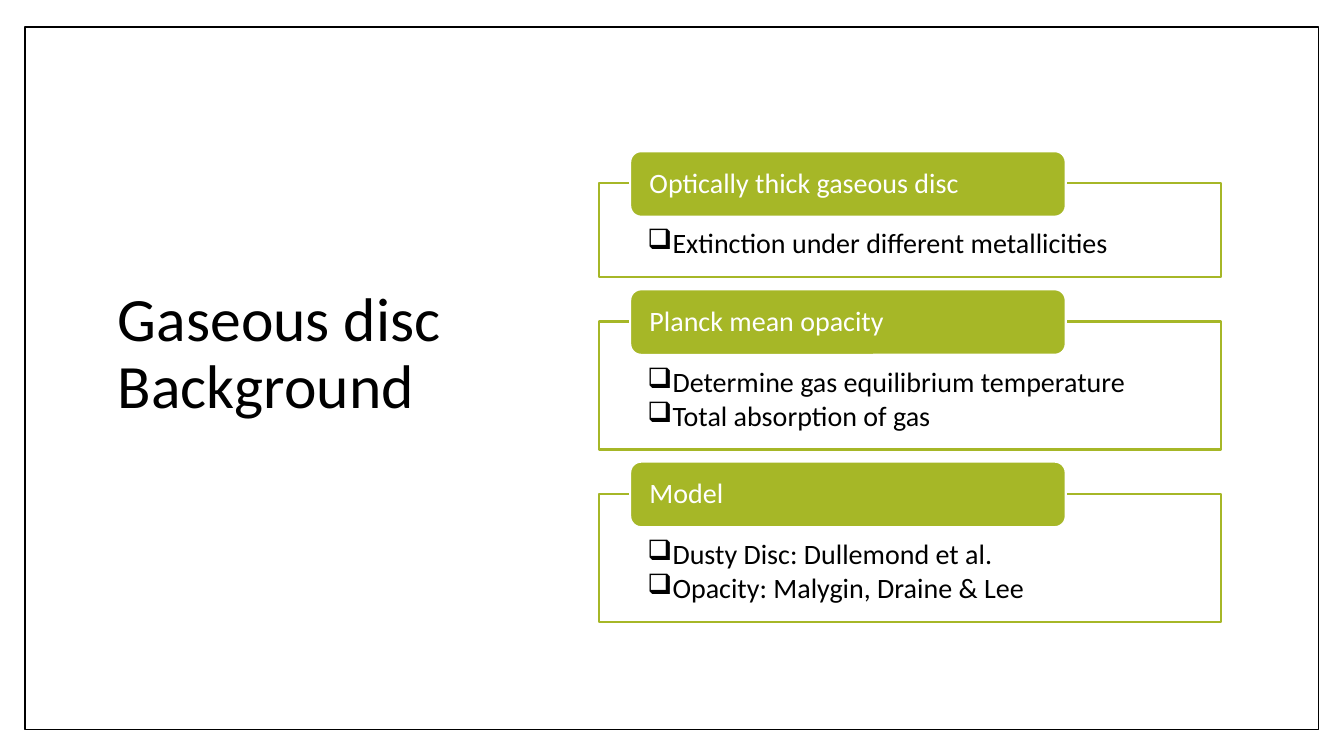
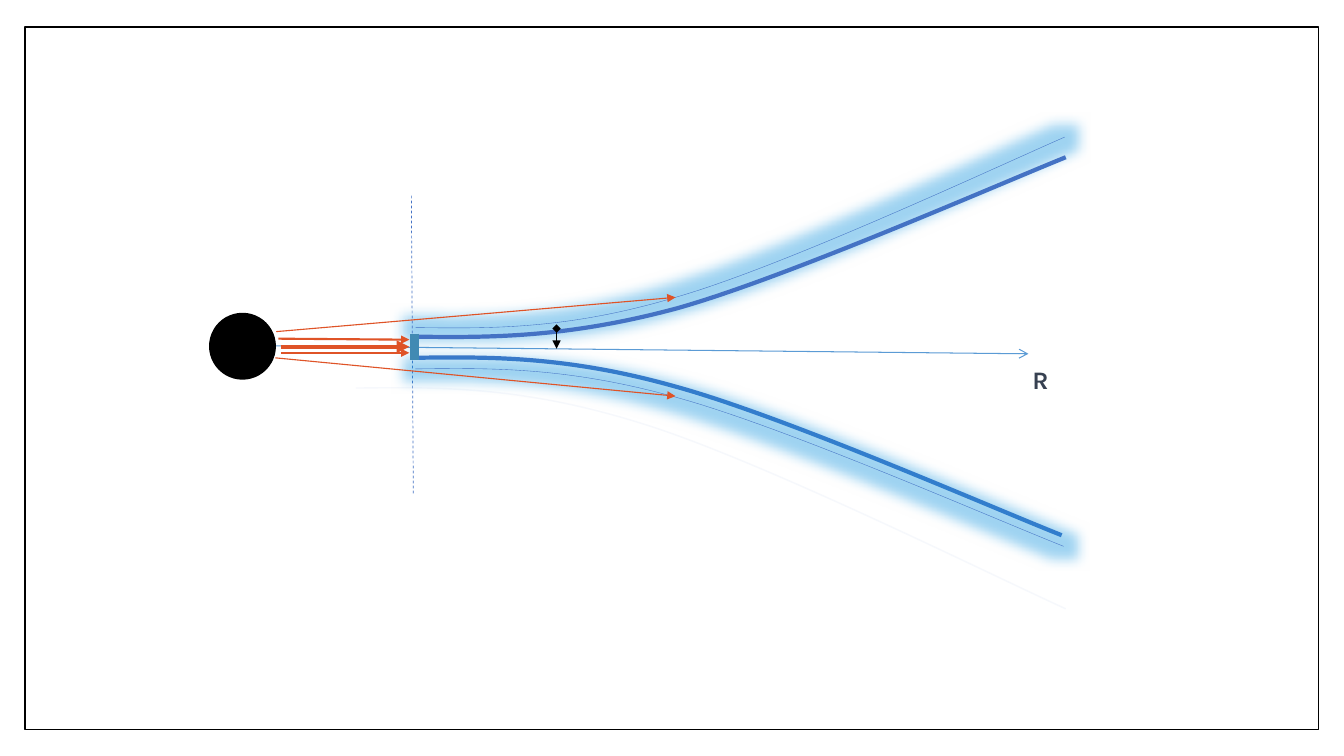
"""Build two slides on a gaseous disc: its background and a sketch of its profile."""
from lxml.etree import SubElement
from pptx import Presentation
from pptx.dml.color import RGBColor
from pptx.enum.dml import MSO_LINE
from pptx.enum.shapes import MSO_CONNECTOR, MSO_SHAPE
from pptx.enum.text import MSO_ANCHOR, MSO_AUTO_SIZE, PP_ALIGN
from pptx.oxml.ns import qn
from pptx.util import Inches, Pt

COLORS = {
    "black": "000000", "white": "FFFFFF", "green": "A6B727", "blue": "4472C4",
    "axis": "5B9BD5", "pale": "F6F8FC", "teal": "418AB3", "red": "DF5327",
    "slate": "374151", "glow": "1193DE",
}


def rgb(name):
    return RGBColor.from_string(COLORS[name])


def write(p, text, size=20, color="black", font="Calibri", bold=False,
          spacing=0.9, after=0, bullet=None):
    p.alignment = PP_ALIGN.LEFT
    p.line_spacing = spacing
    p.space_before, p.space_after = Pt(0), Pt(after)
    for i, line in enumerate(text.split("\n")):
        if i:
            p.add_line_break()
        r = p.add_run()
        r.text = line
        r.font.name, r.font.size, r.font.bold = font, Pt(size), bold
        r.font.color.rgb = rgb(color)
    if bullet:
        pPr = p._p.get_or_add_pPr()
        pPr.set("marL", str(Inches(0.25)))
        pPr.set("indent", str(-Inches(0.25)))
        SubElement(pPr, qn("a:buFont"), typeface="Wingdings", charset="2")
        SubElement(pPr, qn("a:buChar"), char=bullet)


def bend(sp):
    path = sp._element.spPr.find(".//" + qn("a:path"))
    segments = path.findall(qn("a:lnTo"))
    for i in range(0, len(segments), 3):
        cubic = SubElement(path, qn("a:cubicBezTo"))
        for segment in segments[i:i + 3]:
            cubic.append(segment[0])
            path.remove(segment)


class Deck:
    """Holds the presentation, its style and the current slide."""

    def __init__(self):
        self.prs = Presentation()
        self.prs.slide_width, self.prs.slide_height = Inches(13.33), Inches(7.5)
        self.s = None

    def slide(self, title=None):
        first = self.s is None
        layout = self.prs.slide_layouts[5 if title else 6]
        self.s = self.prs.slides.add_slide(layout)
        if first:
            self.border()
        if title:
            sp = self.s.shapes.title
            sp.left, sp.top = Inches(1.07), Inches(2.78)
            sp.width, sp.height = Inches(4.31), Inches(1.48)
            tf = self.frame(sp, (0.1, 0.05, 0.1, 0.05), MSO_ANCHOR.MIDDLE)
            write(tf.paragraphs[0], title, size=44)

    def border(self):
        sp = self.shape(MSO_SHAPE.RECTANGLE, 0.25, 0.27, 12.83, 6.97, "white")
        self.prs.slide_master.shapes._spTree.insert(2, sp._element)

    def frame(self, sp, insets, anchor=MSO_ANCHOR.TOP):
        tf = sp.text_frame
        tf.word_wrap, tf.auto_size = True, MSO_AUTO_SIZE.NONE
        tf.vertical_anchor = anchor
        (tf.margin_left, tf.margin_top,
         tf.margin_right, tf.margin_bottom) = map(Inches, insets)
        return tf

    def stroke(self, line, color, width):
        line.color.rgb, line.width = rgb(color), Pt(width)

    def shape(self, kind, x, y, w, h, fill, line="black", width=1):
        sp = self.s.shapes.add_shape(kind, *map(Inches, (x, y, w, h)))
        sp.shadow.inherit = False
        sp.fill.solid()
        sp.fill.fore_color.rgb = rgb(fill)
        self.stroke(sp.line, line, width)
        return sp

    def label(self, text, x, y, w, h, **fmt):
        sp = self.s.shapes.add_textbox(*map(Inches, (x, y, w, h)))
        write(self.frame(sp, (0.1, 0.05, 0.1, 0.05)).paragraphs[0], text, **fmt)

    def card(self, y, h, heading, items):
        box = self.shape(MSO_SHAPE.RECTANGLE, 5.94, y, 6.17, h, "white", "green", 1.5)
        tf = self.frame(box, (0.48, 0.46, 0.48, 0.16))
        for i, item in enumerate(items):
            p = tf.add_paragraph() if i else tf.paragraphs[0]
            write(p, item, after=3, bullet="q")
        tab = self.shape(MSO_SHAPE.ROUNDED_RECTANGLE, 6.25, y - 0.32, 4.32, 0.65,
                         "green", "white", 1.5)
        tf = self.frame(tab, (0.16, 0, 0.16, 0), MSO_ANCHOR.MIDDLE)
        write(tf.paragraphs[0], heading, color="white")

    def line(self, start, end, color, width, head=None, tail=None, dash=None):
        c = self.s.shapes.add_connector(MSO_CONNECTOR.STRAIGHT,
                                        *map(Inches, start + end))
        self.stroke(c.line, color, width)
        if dash:
            c.line.dash_style = dash
        ln = c.line._get_or_add_ln()
        for tag, kind in (("a:headEnd", head), ("a:tailEnd", tail)):
            if kind:
                SubElement(ln, qn(tag), type=kind)
        SubElement(c._element.spPr, qn("a:effectLst"))

    def curve(self, pts, color, width, glow=0):
        xy = [tuple(map(Inches, pt)) for pt in pts]
        fb = self.s.shapes.build_freeform(*xy[0])
        fb.add_line_segments(xy[1:], close=False)
        sp = fb.convert_to_shape()
        bend(sp)
        sp.fill.background()
        self.stroke(sp.line, color, width)
        sp.shadow.inherit = False
        if glow:
            effects = sp._element.spPr.find(qn("a:effectLst"))
            halo = SubElement(effects, qn("a:glow"), rad=str(Pt(glow)))
            clr = SubElement(halo, qn("a:srgbClr"), val=COLORS["glow"])
            SubElement(clr, qn("a:alpha"), val="40000")


def background(deck):
    deck.slide("Gaseous disc\nBackground")
    y = 1.82
    for heading, items in (
        ("Optically thick gaseous disc", ["Extinction under different metallicities"]),
        ("Planck mean opacity",
         ["Determine gas equilibrium temperature", "Total absorption of gas"]),
        ("Model", ["Dusty Disc: Dullemond et al.", "Opacity: Malygin, Draine & Lee"]),
    ):
        h = 0.59 + 0.34 * len(items)
        deck.card(y, h, heading, items)
        y += h + 0.44


def profile(deck):
    deck.slide()
    deck.line((2.57, 3.43), (10.2, 3.51), "axis", 0.75, tail="arrow")
    deck.shape(MSO_SHAPE.OVAL, 2.08, 3.11, 0.65, 0.65, "black")
    deck.curve([(4.12, 3.25), (4.87, 3.26), (5.63, 3.27), (6.7, 2.95),
                (7.78, 2.64), (9.83, 1.68), (10.56, 1.36)], "blue", 0.25, glow=18)
    deck.curve([(3.53, 3.85), (4.36, 3.84), (5.18, 3.83), (6.36, 4.2),
                (7.53, 4.56), (9.76, 5.67), (10.57, 6.04)], "pale", 1)
    deck.line((4.08, 1.94), (4.1, 4.91), "blue", 0.5, dash=MSO_LINE.DASH)
    deck.curve([(4.12, 3.34), (4.87, 3.35), (5.63, 3.35), (6.71, 3.06),
                (7.78, 2.76), (9.83, 1.86), (10.57, 1.56)], "blue", 3)
    lower = [(4.1, 3.55), (4.85, 3.54), (5.61, 3.53), (6.68, 3.83),
             (7.75, 4.12), (9.8, 5.02), (10.53, 5.31)]
    deck.curve(lower, "blue", 3)
    deck.label("R", 10.14, 3.57, 0.83, 0.4, size=18, color="slate", font="Karla",
               bold=True, spacing=1.0, after=8)
    deck.curve([(x + 0.02, y + 0.11) for x, y in lower], "blue", 0.25, glow=18)
    deck.line((4.11, 3.31), (4.11, 3.57), "teal", 6)
    for start, end, width in (
        ((2.76, 3.36), (4.06, 3.37), 1.5),
        ((2.79, 3.44), (4.06, 3.44), 3),
        ((2.79, 3.5), (4.06, 3.5), 1.5),
        ((2.73, 3.55), (6.7, 3.93), 0.79),
        ((2.74, 3.29), (6.7, 2.95), 0.79),
    ):
        deck.line(start, end, "red", width, tail="triangle")
    deck.line((5.52, 3.26), (5.52, 3.46), "black", 0.5, head="diamond", tail="triangle")


def main():
    deck = Deck()
    background(deck)
    profile(deck)
    deck.prs.save("out.pptx")


if __name__ == "__main__":
    main()
